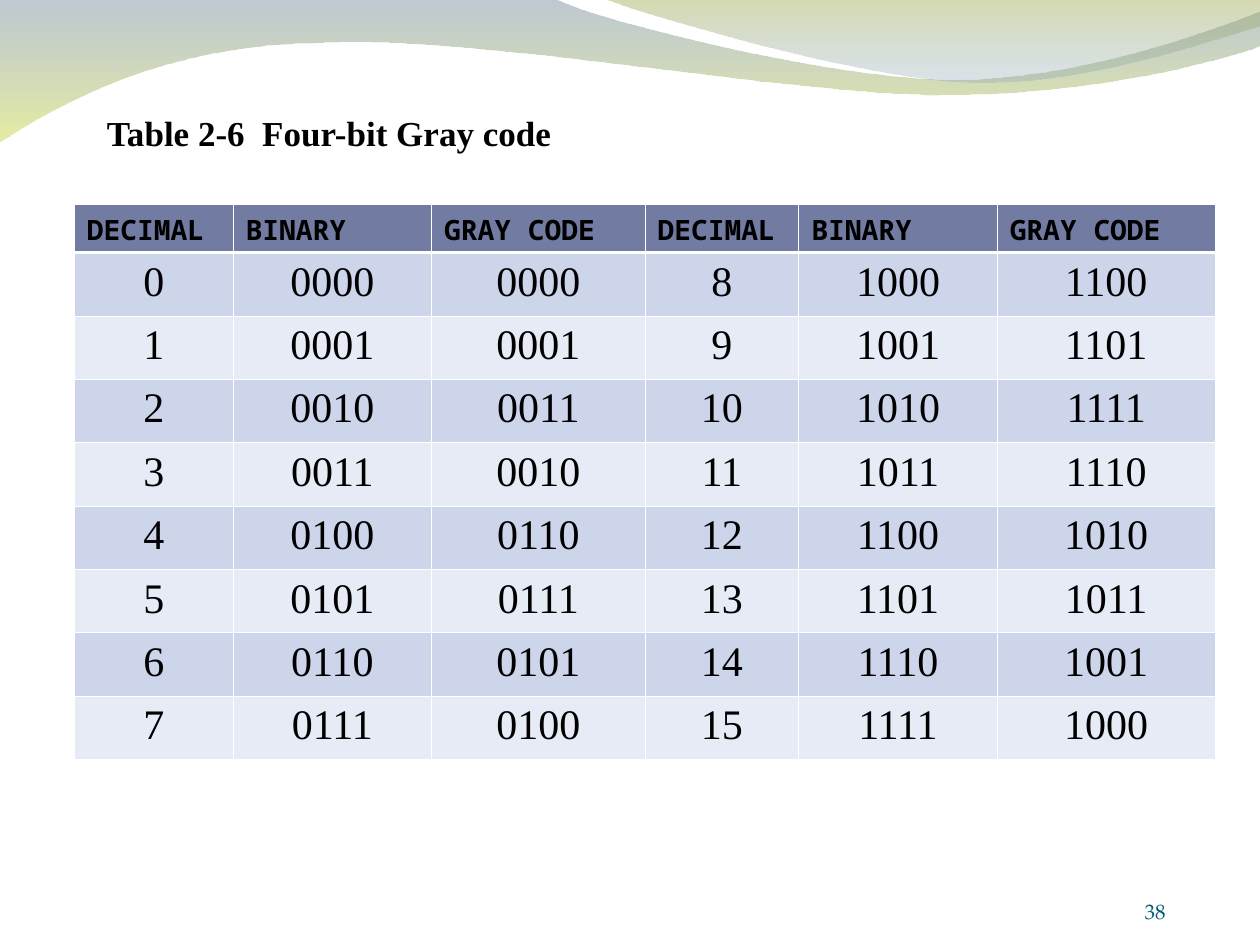
from lxml.etree import SubElement
from pptx import Presentation
from pptx.dml.color import RGBColor
from pptx.enum.text import MSO_ANCHOR as Anchor, PP_ALIGN as Align
from pptx.oxml import parse_xml
from pptx.oxml.ns import nsdecls, qn
from pptx.util import Inches, Pt

UNIT = Inches(0.1)  # the slide is a grid of 100 columns by 75 rows


def rgb(value):
    return RGBColor.from_string(value)


def g(n):
    """Grid units to EMU."""
    return round(n * UNIT)


class Deck:
    SERIF, MONO, NUMBER = "Times New Roman", "Noto Sans Mono", "TeX Gyre Pagella"
    INK, TEAL, WHITE = "000000", "045C75", "FFFFFF"
    HEAD, BANDS = "727CA3", ("CCD5EA", "E7EBF5")
    THIN, THICK = 0.45, 1.47

    def __init__(self):
        self.prs = Presentation()
        self.prs.slide_width, self.prs.slide_height = g(100), g(75)
        self.s = self.prs.slides.add_slide(self.prs.slide_layouts[6])

    def style(self, p, font, size, color, bold=False, align=Align.LEFT):
        p.alignment = align
        for r in p.runs:
            f = r.font
            f.name, f.size, f.bold = font, Pt(size), bold
            f.color.rgb = rgb(color)

    def text(self, box, text, *look, margins=(1, 0.5), anchor=Anchor.TOP, **kw):
        sp = self.s.shapes.add_textbox(*map(g, box))
        tf = sp.text_frame
        tf.word_wrap, tf.vertical_anchor = True, anchor
        tf.margin_left = tf.margin_right = g(margins[0])
        tf.margin_top = tf.margin_bottom = g(margins[1])
        tf.text = text
        self.style(tf.paragraphs[0], *look, **kw)

    def wave(self, start, steps, stops):
        """Closed outline: a step of one point is a line, of three a curve."""
        fb = self.s.shapes.build_freeform(g(start[0]), g(start[1]))
        fb.add_line_segments([(g(x), g(y)) for step in steps for x, y in step],
                             close=True)
        sp = fb.convert_to_shape()
        sp.shadow.inherit = False
        sp.line.fill.background()
        geom = sp._element.spPr.find(qn("a:custGeom"))

        # Join each three lines of a curve step into one cubic curve
        lines = iter(list(geom.iter(qn("a:lnTo"))))
        for step in steps:
            first, *others = [next(lines) for _ in step]
            if others:
                first.tag = qn("a:cubicBezTo")
            for line in others:
                first.append(line[0])
                line.getparent().remove(line)

        gs = "".join(
            f'<a:gs pos="{pos * 1000}"><a:srgbClr val="{color}">'
            f'<a:alpha val="{alpha * 1000}"/></a:srgbClr></a:gs>'
            for pos, color, alpha in stops)
        geom.addnext(parse_xml(
            f'<a:gradFill {nsdecls("a")}><a:gsLst>{gs}</a:gsLst>'
            '<a:lin ang="5400000" scaled="0"/></a:gradFill>'))

    def borders(self, cell, top, bottom):
        tcPr = cell._tc.get_or_add_tcPr()
        widths = {"L": self.THIN, "R": self.THIN, "T": top, "B": bottom}
        for side, width in widths.items():
            ln = SubElement(tcPr, qn(f"a:ln{side}"), w=str(Pt(width)))
            fill = SubElement(ln, qn("a:solidFill"))
            SubElement(fill, qn("a:srgbClr"), val=self.WHITE)

    def table(self, left, top, cols, heights, rows):
        tbl = self.s.shapes.add_table(
            len(rows), len(cols), g(left), g(top),
            g(sum(cols)), g(sum(heights))).table
        tbl.horz_banding = False
        for col, width in zip(tbl.columns, cols):
            col.width = g(width)
        for i, (row, height, values) in enumerate(zip(tbl.rows, heights, rows)):
            row.height = g(height)
            for cell, value in zip(row.cells, values):
                cell.text = value
                p = cell.text_frame.paragraphs[0]
                # Borders come before the fill in the cell properties
                self.borders(cell, self.THICK if i == 1 else self.THIN,
                             self.THICK if i == 0 else self.THIN)
                cell.fill.solid()
                if i == 0:
                    cell.fill.fore_color.rgb = rgb(self.HEAD)
                    cell.margin_bottom = g(0.2)
                    self.style(p, self.MONO, 16, self.INK, bold=True)
                else:
                    cell.fill.fore_color.rgb = rgb(self.BANDS[(i - 1) % 2])
                    self.style(p, self.SERIF, 24, self.INK, align=Align.CENTER)


def code_row(n):
    """Decimal, binary and Gray code of a four-bit number."""
    return [str(n), f"{n:04b}", f"{n ^ n >> 1:04b}"]


def main():
    deck = Deck()

    # Waves along the top
    deck.wave((0, -0.1), [
        [(44, -0.1)],
        [(47.6, 1.7), (66.4, 6.3), (75.8, 6.3)],
        [(85.3, 6.3), (95.8, 2.6), (100, 0.9)],
        [(100.1, 3.6)],
        [(98.3, 4.4), (87, 7.6), (74.6, 7.5)],
        [(62.2, 7.5), (38.2, 2.8), (25.7, 3.4)],
        [(12.9, 3.5), (4.6, 8.3), (-0.1, 11.3)],
    ], [(0, "70879A", 45), (100, "D2DD56", 55)])
    deck.wave((47.9, -0.1), [
        [(50.9, 1.1), (68.2, 6.2), (76.9, 6.5)],
        [(85.6, 6.9), (96.1, 3.2), (100, 2.1)],
        [(100, 0)],
    ], [(0, "A3AB4D", 45), (100, "83A2BC", 30)])

    # Slide number and title
    deck.text((71.7, 68.3, 20.8, 5), "38", deck.NUMBER, 12, deck.TEAL,
              margins=(0, 0), anchor=Anchor.BOTTOM, align=Align.RIGHT)
    deck.text((7.5, 8.35, 38.6, 4.4), "Table 2-6  Four-bit Gray code",
              deck.SERIF, 20, deck.INK, bold=True)

    # Code table: 0 to 7 on the left, 8 to 15 on the right
    head = ["DECIMAL", "BINARY", "GRAY CODE"] * 2
    body = [code_row(n) + code_row(n + 8) for n in range(8)]
    deck.table(5.9, 16.2, [12.6, 15.75, 16.95, 12.2, 15.75, 17.3],
               [3.85] + [5.03] * 8, [head] + body)

    deck.prs.save("out.pptx")


if __name__ == "__main__":
    main()
